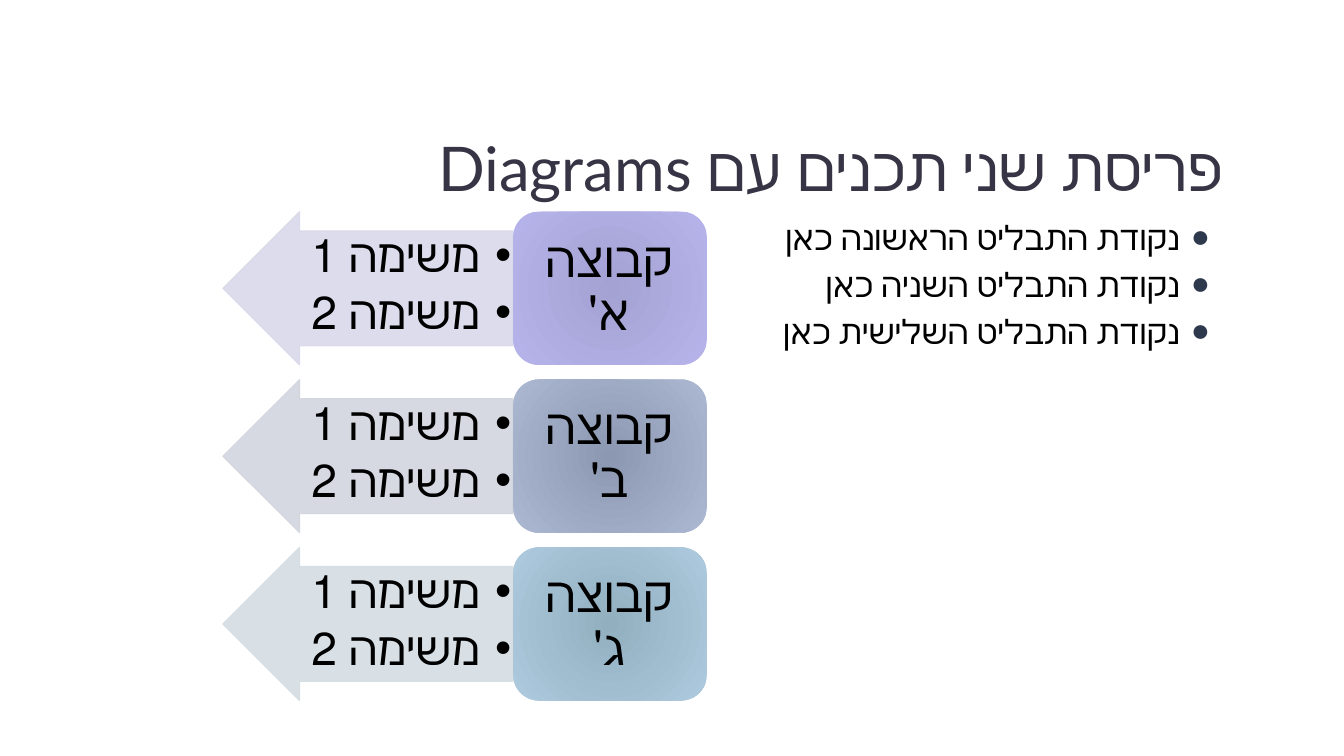
from lxml import etree
from pptx import Presentation, util as u
from pptx.dml.color import RGBColor
from pptx.enum import shapes, text
from pptx.oxml import ns, parse_xml

FONT = "Lato"
COLORS = {"title": "373545", "text": "000000", "bullet": "2E394D"}
POINTS = ["נקודת התבליט הראשונה כאן", "נקודת התבליט השניה כאן", "נקודת התבליט השלישית כאן"]
TASKS = ["משימה 1", "משימה 2"]
# Label, arrow colour, gradient centre and gradient edge
GROUPS = [
    ("קבוצה א'", "D9D9EB", "A4A2D2", "B6B4EB"),
    ("קבוצה ב'", "D2D5DE", "8C98B1", "ACB7D2"),
    ("קבוצה ג'", "D4DDE3", "92AFC0", "ADCADE"),
]
ROW_TOP, ROW_PITCH, ROW_HEIGHT = 2.1, 1.665, 1.52
ARROW_LEFT, ARROW_WIDTH = 2.21, 2.88
GROUP_LEFT, GROUP_WIDTH = 5.09, 1.92


def inches(*values):
    return [u.Inches(value) for value in values]


def set_values(target, values):
    for name, value in values.items():
        setattr(target, name, value)


def add_bullet(paragraph, char, indent, color=None, size=None):
    properties = paragraph._p.get_or_add_pPr()
    properties.set("marL", str(u.Inches(indent)))
    properties.set("indent", str(-u.Inches(indent)))
    if color:
        holder = etree.SubElement(properties, ns.qn("a:buClr"))
        etree.SubElement(holder, ns.qn("a:srgbClr"), val=color)
    if size:
        etree.SubElement(properties, ns.qn("a:buSzPct"), val=str(size * 1000))
    etree.SubElement(properties, ns.qn("a:buFont"), typeface="Arial")
    etree.SubElement(properties, ns.qn("a:buChar"), char=char)


def write_paragraphs(frame, lines, size, color, values, bullet=None, gap_before=0):
    """Fill a frame with right-to-left paragraphs."""
    for index, line in enumerate(lines):
        paragraph = frame.paragraphs[0] if index == 0 else frame.add_paragraph()
        paragraph._p.get_or_add_pPr().set("rtl", "1")
        if bullet:
            add_bullet(paragraph, **bullet)
        set_values(paragraph, values)
        if index and gap_before:
            paragraph.space_before = u.Pt(gap_before)
        run = paragraph.add_run()
        run.text = line
        set_values(run.font, {"size": u.Pt(size), "name": FONT})
        run.font.color.rgb = RGBColor.from_string(color)


def set_frame(frame, margins, anchor):
    sides = ("margin_left", "margin_top", "margin_right", "margin_bottom")
    set_values(frame, dict(zip(sides, inches(*margins))))
    set_values(frame, {"word_wrap": True, "vertical_anchor": anchor})


def add_text(slide, box, margins, anchor=text.MSO_ANCHOR.TOP):
    frame = slide.shapes.add_textbox(*inches(*box)).text_frame
    set_frame(frame, margins, anchor)
    return frame


def add_title(slide, line):
    title = slide.shapes.title
    set_values(title, dict(zip(("left", "top", "width", "height"), inches(2.21, 0.77, 9.92, 1.25))))
    set_frame(title.text_frame, (0, 0.05, 0, 0), text.MSO_ANCHOR.BOTTOM)
    write_paragraphs(title.text_frame, [line], 44, COLORS["title"],
                     {"alignment": text.PP_ALIGN.RIGHT, "line_spacing": 0.8})


def add_arrow(slide, top, color):
    arrow = slide.shapes.add_shape(shapes.MSO_SHAPE.RIGHT_ARROW,
                                   *inches(ARROW_LEFT, top, ARROW_WIDTH, ROW_HEIGHT))
    arrow.rotation = 180
    arrow.shadow.inherit = False
    arrow.adjustments[0], arrow.adjustments[1] = 0.75, 0.5
    arrow.line.width = u.Pt(0.75)
    for fill in (arrow.fill, arrow.line.fill):
        fill.solid()
        fill.fore_color.rgb = RGBColor.from_string(color)
    for element in arrow._element.spPr.iter(ns.qn("a:srgbClr")):
        etree.SubElement(element, ns.qn("a:alpha"), val="90000")


def add_group_box(slide, top, center, edge):
    box = slide.shapes.add_shape(shapes.MSO_SHAPE.ROUNDED_RECTANGLE,
                                 *inches(GROUP_LEFT, top, GROUP_WIDTH, ROW_HEIGHT))
    box.shadow.inherit = False
    box.line.fill.background()
    gradient = parse_xml(
        f'<a:gradFill {ns.nsdecls("a")} rotWithShape="1"><a:gsLst>'
        f'<a:gs pos="0"><a:srgbClr val="{center}"/></a:gs>'
        f'<a:gs pos="100000"><a:srgbClr val="{edge}"/></a:gs></a:gsLst>'
        '<a:path path="circle"><a:fillToRect l="100000" t="100000" r="100000" b="100000"/>'
        '</a:path></a:gradFill>')
    box._element.spPr.find(ns.qn("a:prstGeom")).addnext(gradient)


def add_row(slide, top, label, arrow_color, center, edge):
    # Arrow with its tasks
    add_arrow(slide, top, arrow_color)
    tasks = add_text(slide, (2.78, top + 0.19, 2.31, 1.14), [0.02] * 4)
    write_paragraphs(tasks, TASKS, 33, COLORS["text"],
                     {"alignment": text.PP_ALIGN.RIGHT, "level": 1,
                      "line_spacing": 0.9, "space_after": u.Pt(5)},
                     {"char": "•", "indent": 0.31})
    # Group box with its label
    add_group_box(slide, top, center, edge)
    frame = add_text(slide, (5.16, top + 0.07, 1.77, 1.37), (0.15, 0.07, 0.15, 0.07),
                     text.MSO_ANCHOR.MIDDLE)
    write_paragraphs(frame, [label], 35, COLORS["text"],
                     {"alignment": text.PP_ALIGN.CENTER, "line_spacing": 0.9,
                      "space_after": u.Pt(12)})


def main():
    presentation = Presentation()
    set_values(presentation, {"slide_width": u.Inches(13.33), "slide_height": u.Inches(7.5)})
    slide = presentation.slides.add_slide(presentation.slide_layouts[5])

    add_title(slide, "פריסת שני תכנים עם Diagrams")

    # Bullet points on the right
    points = add_text(slide, (7.23, 2.1, 4.87, 4.85), (0.1, 0.05, 0.1, 0.05))
    write_paragraphs(points, POINTS, 24, COLORS["text"], {"alignment": text.PP_ALIGN.RIGHT},
                     {"char": "●", "indent": 0.3, "color": COLORS["bullet"], "size": 95},
                     gap_before=4.8)

    # Group rows on the left
    for index, group in enumerate(GROUPS):
        add_row(slide, ROW_TOP + index * ROW_PITCH, *group)

    presentation.save("out.pptx")


if __name__ == "__main__":
    main()
